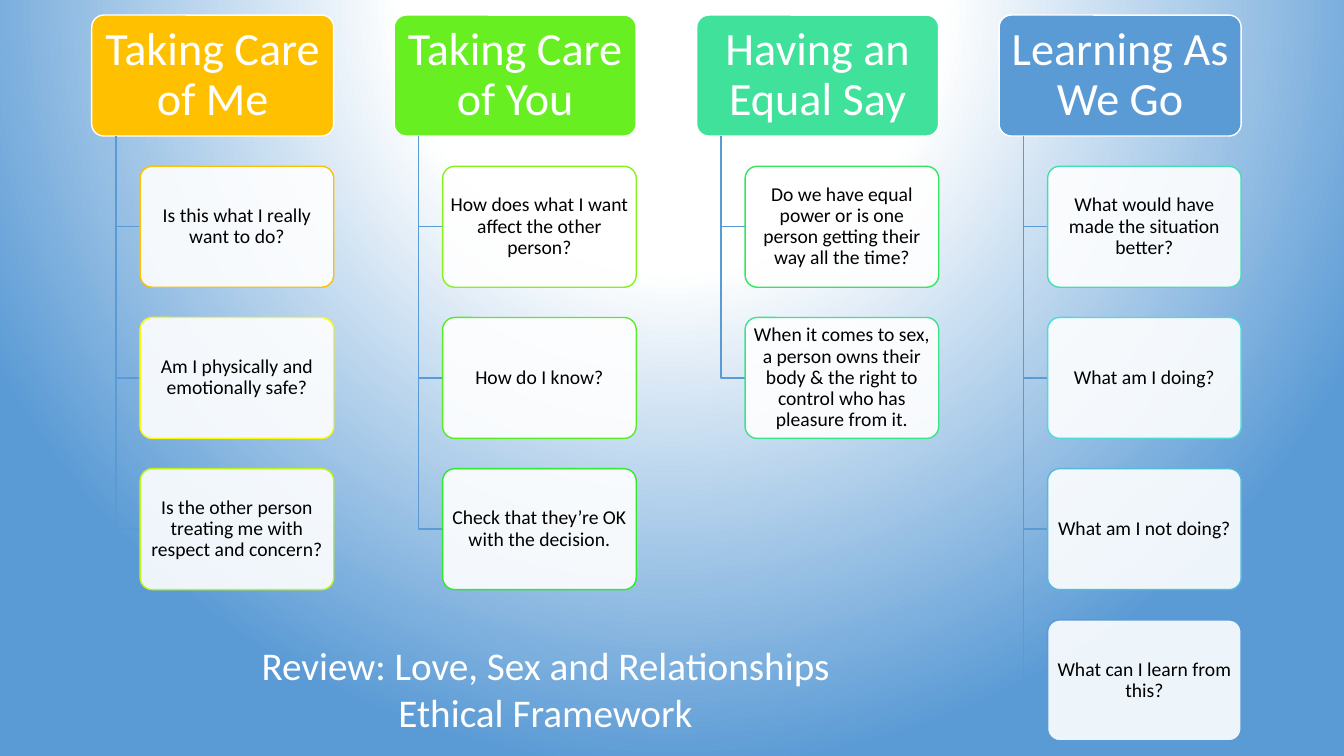
"""Build the Love, Sex and Relationships ethical framework review slide."""
from dataclasses import dataclass

import pptx
import pptx.dml.color
import pptx.enum.shapes
import pptx.enum.text
import pptx.oxml
import pptx.oxml.ns
import pptx.util

Inches = pptx.util.Inches
Pt = pptx.util.Pt


@dataclass(frozen=True)
class Theme:
    font: str = "Calibri"
    white: str = "FFFFFF"
    black: str = "000000"
    blue: str = "5B9BD5"
    heading_size: int = 33
    title_size: int = 28
    card_size: int = 14
    line_width: int = 1


theme = Theme()


def write_text(shape, text, size, color):
    frame = shape.text_frame
    frame.word_wrap = True
    frame.text = text
    para = frame.paragraphs[0]
    para.alignment = pptx.enum.text.PP_ALIGN.CENTER
    para.font.name = theme.font
    para.font.size = Pt(size)
    para.font.color.rgb = pptx.dml.color.RGBColor.from_string(color)
    return frame


def add_card(shapes, left, top, width, text, size, text_color, fill, line, insets):
    card = shapes.add_shape(
        pptx.enum.shapes.MSO_SHAPE.ROUNDED_RECTANGLE,
        Inches(left), Inches(top), Inches(width), Inches(CARD_HEIGHT))
    card.adjustments[0] = 0.1
    card.shadow.inherit = False
    card.fill.solid()
    card.fill.fore_color.rgb = pptx.dml.color.RGBColor.from_string(fill)
    card.line.color.rgb = pptx.dml.color.RGBColor.from_string(line)
    card.line.width = Pt(theme.line_width)
    frame = write_text(card, text, size, text_color)
    frame.vertical_anchor = pptx.enum.text.MSO_ANCHOR.MIDDLE
    frame.margin_left = frame.margin_right = Inches(insets[0])
    frame.margin_top = frame.margin_bottom = Inches(insets[1])
    frame.paragraphs[0].line_spacing = 0.9
    return card


COLUMNS = [
    ("Taking Care of Me", "FFC000", [
        ("Is this what I really want to do?", "FFC000"),
        ("Am I physically and emotionally safe?", "FAFA09"),
        ("Is the other person treating me with respect and concern?", "BDF612"),
    ]),
    ("Taking Care of You", "67EF21", [
        ("How does what I want affect the other person?", "87F21B"),
        ("How do I know?", "57ED23"),
        ("Check that they’re OK with the decision.", "2EE92C"),
    ]),
    ("Having an Equal Say", "3FE19B", [
        ("Do we have equal power or is one person getting their way all the time?", "34E65E"),
        ("When it comes to sex, a person owns their body & the right to control "
         "who has pleasure from it.", "3CE28D"),
    ]),
    ("Learning As We Go", theme.blue, [
        ("What would have made the situation better?", "44DEB5"),
        ("What am I doing?", "4CDBD8"),
        ("What am I not doing?", "54BAD8"),
        ("What can I learn from this?", theme.blue),
    ]),
]
FIRST_LEFT, FIRST_TOP = 0.91, 0.15
COLUMN_STEP, ROW_STEP = 3.0, 1.5
HEADING_WIDTH, CARD_WIDTH, CARD_HEIGHT = 2.4, 1.92, 1.2
STEM_INDENT, CARD_INDENT = 0.24, 0.48

deck = pptx.Presentation()
deck.slide_width = Inches(13.33)
deck.slide_height = Inches(7.5)
page = deck.slides.add_slide(deck.slide_layouts[5])

page.background.fill.solid()
plain_fill = page.element.find(".//" + pptx.oxml.ns.qn("a:solidFill"))
stops = "".join(
    f'<a:gs pos="{position * 1000}"><a:srgbClr val="{color}"/></a:gs>'
    for position, color in [(0, theme.white), (35, theme.white), (100, theme.blue)])
plain_fill.getparent().replace(plain_fill, pptx.oxml.parse_xml(
    f'<a:gradFill {pptx.oxml.ns.nsdecls("a")} rotWithShape="1"><a:gsLst>{stops}</a:gsLst>'
    '<a:path path="circle"><a:fillToRect l="50000" t="-80000" r="50000" b="180000"/></a:path>'
    '</a:gradFill>'))

diagram = page.shapes.add_group_shape().shapes
for column, (heading, color, questions) in enumerate(COLUMNS):
    left = FIRST_LEFT + column * COLUMN_STEP
    add_card(diagram, left, FIRST_TOP, HEADING_WIDTH, heading, theme.heading_size,
             theme.white, color, theme.white, (0.07, 0.05))
    stem = Inches(left + STEM_INDENT)
    for row, (question, outline) in enumerate(questions, start=1):
        top = FIRST_TOP + row * ROW_STEP
        middle = Inches(top + CARD_HEIGHT / 2)
        builder = diagram.build_freeform(stem, Inches(FIRST_TOP + CARD_HEIGHT))
        builder.add_line_segments(
            [(stem, middle), (Inches(left + CARD_INDENT), middle)], close=False)
        branch = builder.convert_to_shape()
        branch.shadow.inherit = False
        branch.fill.background()
        branch.line.color.rgb = pptx.dml.color.RGBColor.from_string(theme.blue)
        branch.line.width = Pt(theme.line_width)

        card = add_card(diagram, left + CARD_INDENT, top, CARD_WIDTH, question,
                        theme.card_size, theme.black, theme.white, outline, (0.03, 0.02))
        fill_color = card.element.spPr.find(
            pptx.oxml.ns.qn("a:solidFill") + "/" + pptx.oxml.ns.qn("a:srgbClr"))
        fill_color.append(pptx.oxml.parse_xml(
            f'<a:alpha {pptx.oxml.ns.nsdecls("a")} val="90000"/>'))

title = page.shapes.title
title.left, title.top = Inches(2.22), Inches(6.31)
title.width, title.height = Inches(6.38), Inches(1.04)
title_frame = write_text(title, "Review: Love, Sex and Relationships Ethical Framework",
                         theme.title_size, theme.white)
title_frame.vertical_anchor = pptx.enum.text.MSO_ANCHOR.TOP
title_frame.auto_size = pptx.enum.text.MSO_AUTO_SIZE.NONE

deck.save("out.pptx")
